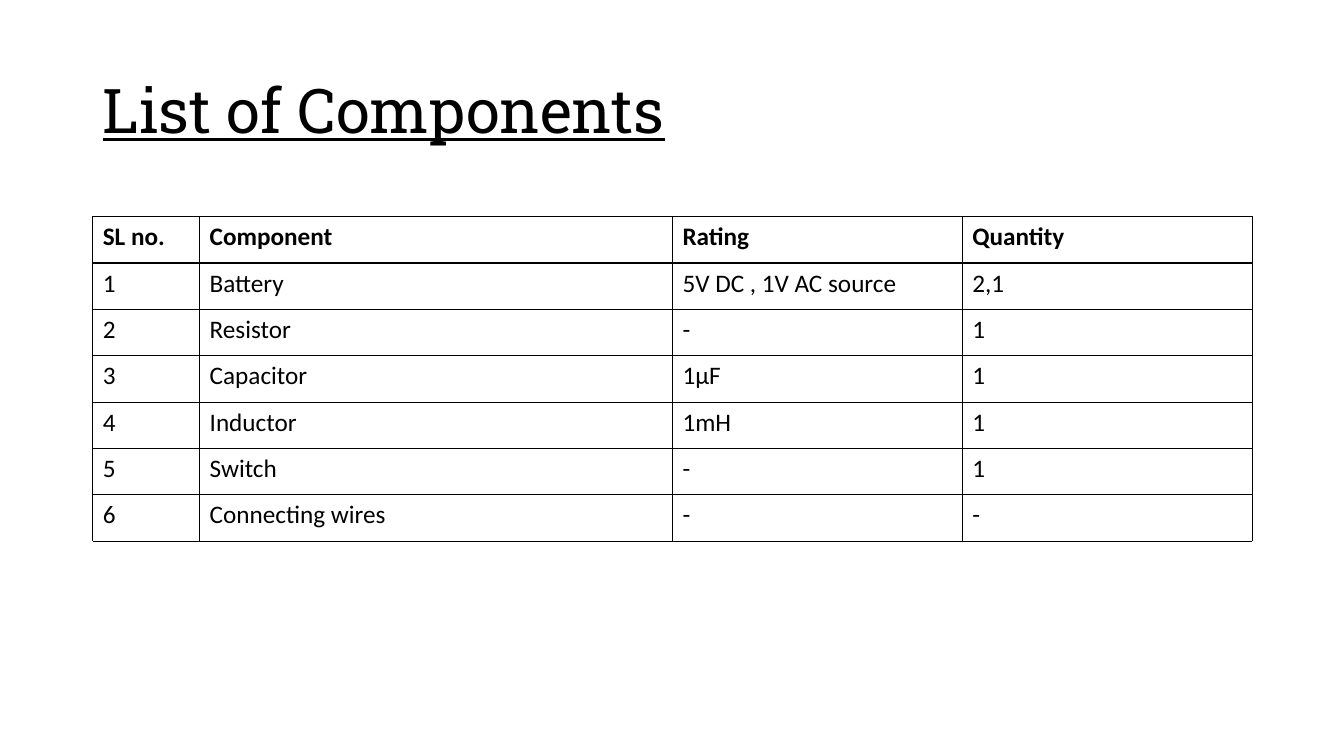
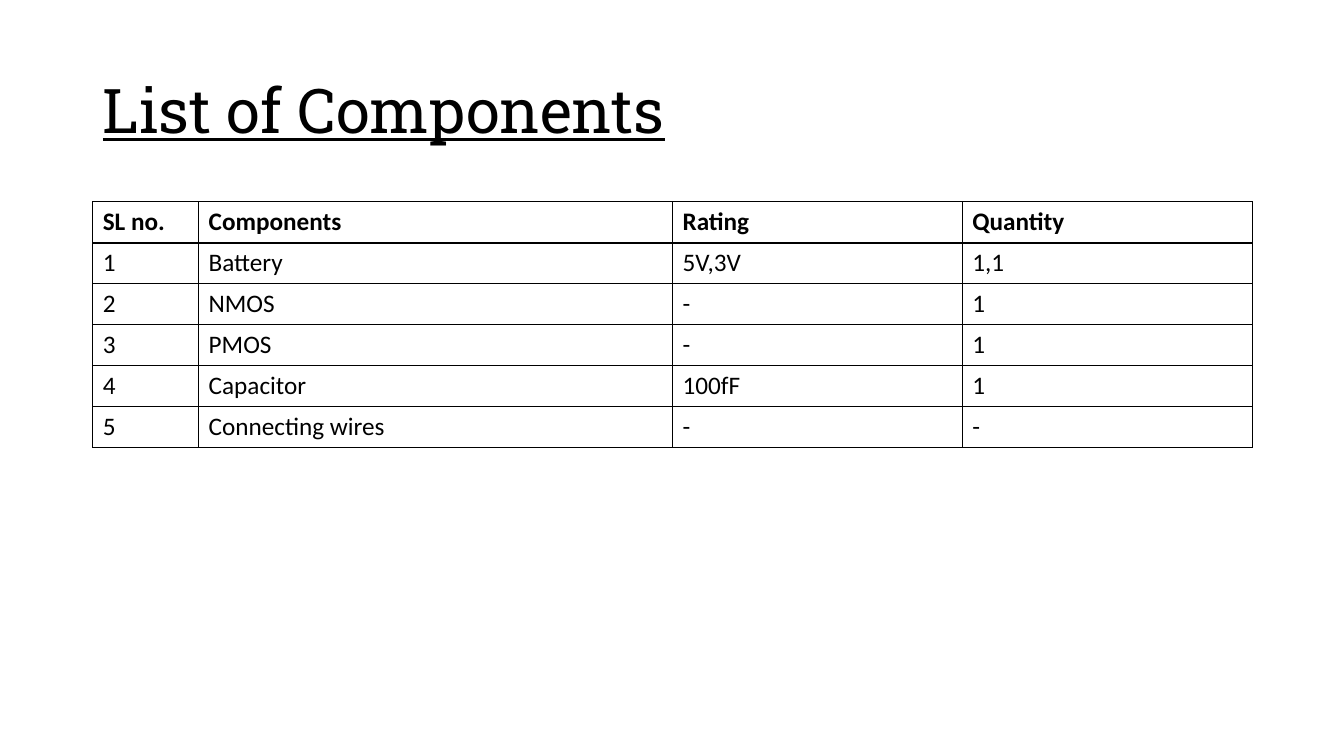
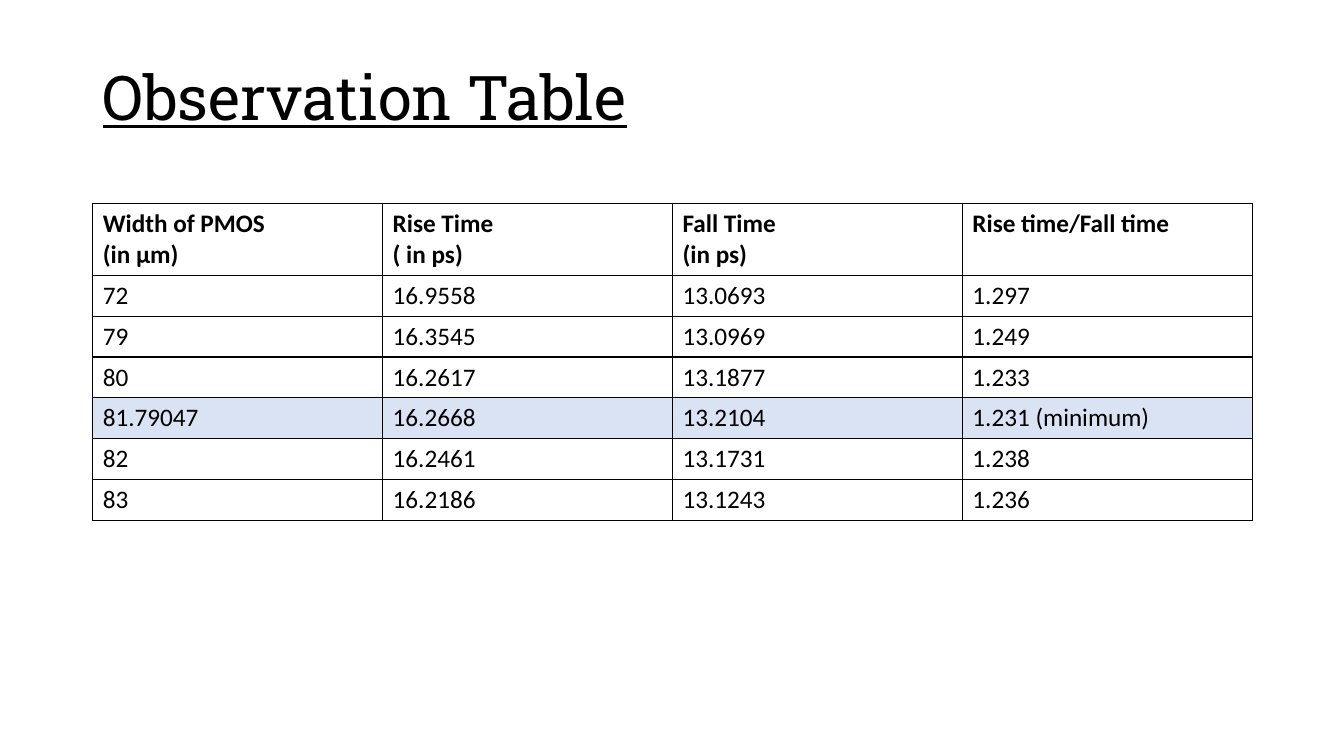
from dataclasses import dataclass
from lxml.etree import SubElement
from pptx import Presentation
from pptx.dml.color import RGBColor
from pptx.enum.text import MSO_ANCHOR, PP_ALIGN
from pptx.oxml.ns import qn
from pptx.util import Inches, Pt


@dataclass(frozen=True)
class Theme:
    ink: str = "000000"
    paper: str = "FFFFFF"
    highlight: str = "DAE3F3"
    title_font: str = "Roboto Slab"
    body_font: str = "Calibri"
    title_size: int = 44
    body_size: int = 18
    rule_width: int = 1


theme = Theme()


def add_run(paragraph, text, font_name, size):
    run = paragraph.add_run()
    run.text = text
    run.font.name = font_name
    run.font.size = Pt(size)
    run.font.color.rgb = RGBColor.from_string(theme.ink)
    return run


def add_borders(cell, sides):
    properties = cell._tc.get_or_add_tcPr()
    for side in sides:
        border = SubElement(properties, qn(f"a:ln{side}"), w=str(Pt(theme.rule_width)))
        fill = SubElement(border, qn("a:solidFill"))
        SubElement(fill, qn("a:srgbClr"), val=theme.ink)


left = Inches(0.92)
width = Inches(11.5)
quarter = width // 4

pages = [
    {
        "title": "List of Components", "title_top": 0.4,
        "table_top": 2.15, "table_height": 3.68, "header_height": 0.46,
        "first_column": Inches(1.06), "highlighted_row": None,
        "rows": [
            ["SL no.", "Component", "Rating", "Quantity"],
            ["1", "Battery", "5V DC , 1V AC source", "2,1"],
            ["2", "Resistor", "-", "1"],
            ["3", "Capacitor", "1µF", "1"],
            ["4", "Inductor", "1mH", "1"],
            ["5", "Switch", "-", "1"],
            ["6", "Connecting wires", "-", "-"],
            [],
        ],
    },
    {
        "title": "List of Components", "title_top": 0.4,
        "table_top": 2, "table_height": 2.43, "header_height": 0.41,
        "first_column": Inches(1.05), "highlighted_row": None,
        "rows": [
            ["SL no.", "Components", "Rating", "Quantity"],
            ["1", "Battery", "5V,3V", "1,1"],
            ["2", "NMOS", "-", "1"],
            ["3", "PMOS", "-", "1"],
            ["4", "Capacitor", "100fF", "1"],
            ["5", "Connecting wires", "-", "-"],
        ],
    },
    {
        "title": "Observation Table", "title_top": 0.27,
        "table_top": 2.02, "table_height": 3.13, "header_height": 0.7,
        "first_column": quarter, "highlighted_row": 4,
        "rows": [
            ["Width of PMOS\n(in µm)", "Rise Time\n( in ps)", "Fall Time\n(in ps)", "Rise time/Fall time"],
            ["72", "16.9558", "13.0693", "1.297"],
            ["79", "16.3545", "13.0969", "1.249"],
            ["80", "16.2617", "13.1877", "1.233"],
            ["81.79047", "16.2668", "13.2104", "1.231 (minimum)"],
            ["82", "16.2461", "13.1731", "1.238"],
            ["83", "16.2186", "13.1243", "1.236"],
        ],
    },
]

deck = Presentation()
deck.slide_width = Inches(13.33)
deck.slide_height = Inches(7.5)
title_only = deck.slide_layouts[5]

for page in pages:
    slide = deck.slides.add_slide(title_only)
    slide.background.fill.solid()
    slide.background.fill.fore_color.rgb = RGBColor.from_string(theme.paper)

    heading = slide.shapes.title
    heading.left, heading.top = left, Inches(page["title_top"])
    heading.width, heading.height = width, Inches(1.45)
    heading.text_frame.word_wrap = True
    heading.text_frame.vertical_anchor = MSO_ANCHOR.MIDDLE
    heading_line = heading.text_frame.paragraphs[0]
    heading_line.alignment = PP_ALIGN.LEFT
    heading_line.line_spacing = 0.9
    add_run(heading_line, page["title"], theme.title_font, theme.title_size).font.underline = True

    rows = page["rows"]
    height = Inches(page["table_height"])
    header_height = Inches(page["header_height"])
    row_height = (height - header_height) // (len(rows) - 1)
    grid = slide.shapes.add_table(len(rows), 4, left, Inches(page["table_top"]), width, height).table
    grid.horz_banding = False
    first = page["first_column"]
    for column, column_width in zip(grid.columns, [first, 2 * quarter - first, quarter, quarter]):
        column.width = column_width

    for row_index, values in enumerate(rows):
        grid.rows[row_index].height = row_height if row_index else header_height
        if not values:
            grid.cell(row_index, 0).merge(grid.cell(row_index, 3))
        for column_index in range(4):
            cell = grid.cell(row_index, column_index)
            add_borders(cell, "LRTB" if values else "T")
            if row_index == page["highlighted_row"]:
                cell.fill.solid()
                cell.fill.fore_color.rgb = RGBColor.from_string(theme.highlight)
            else:
                cell.fill.background()
            if not values:
                continue
            for line_index, line in enumerate(values[column_index].split("\n")):
                frame = cell.text_frame
                paragraph = frame.add_paragraph() if line_index else frame.paragraphs[0]
                run = add_run(paragraph, line, theme.body_font, theme.body_size)
                run.font.bold = row_index == 0

deck.save("out.pptx")
